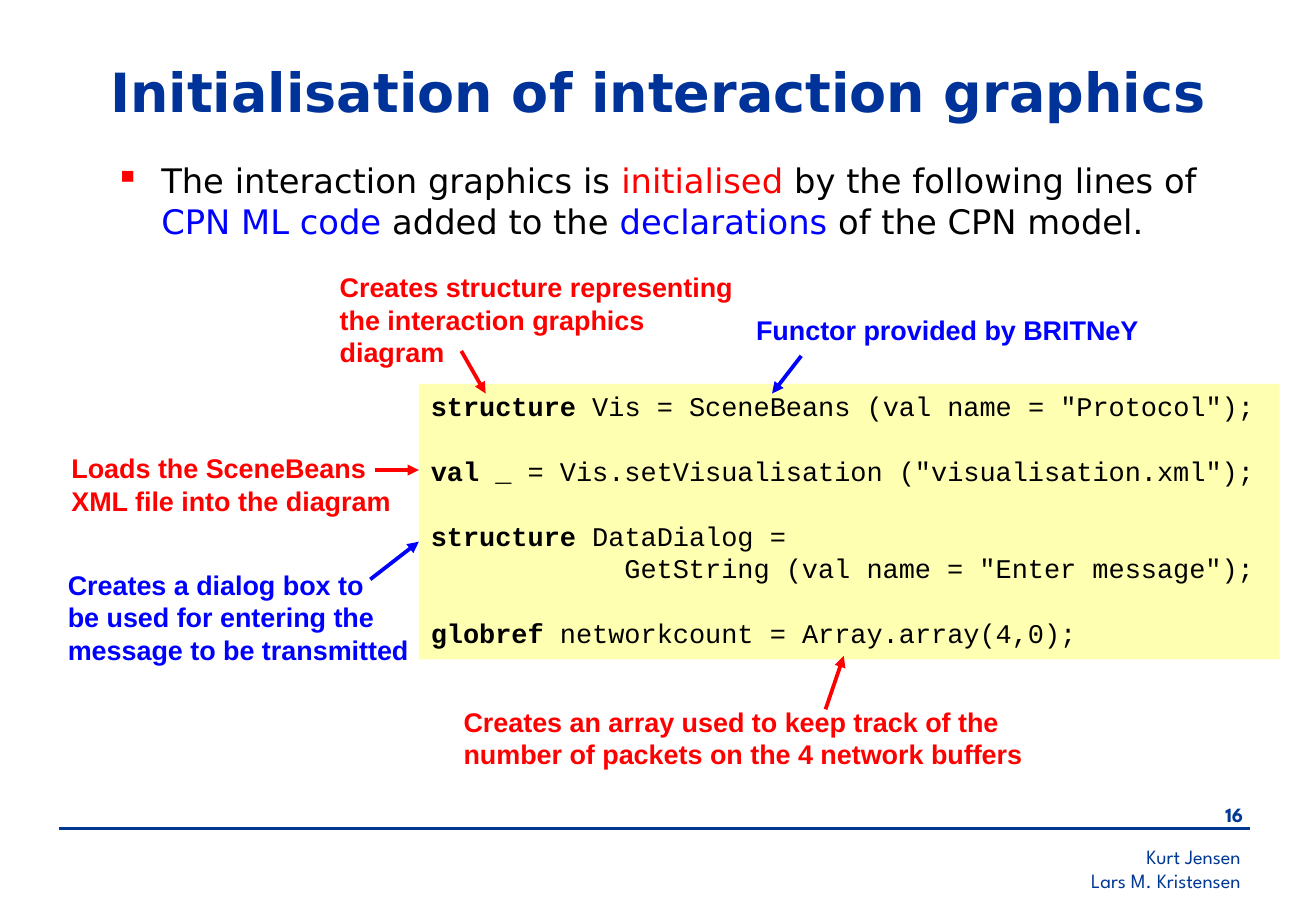
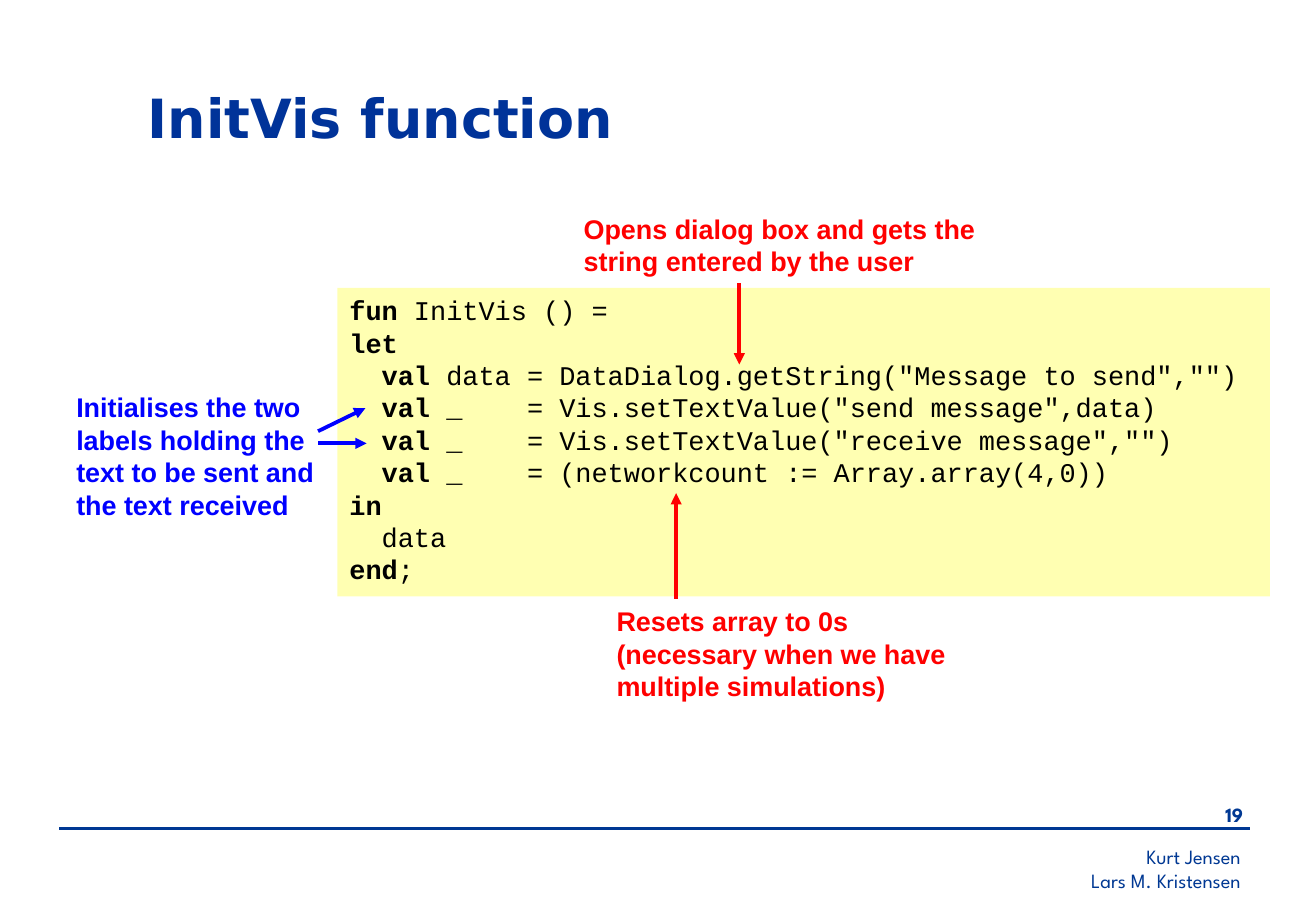
from lxml import etree
from pptx import Presentation
from pptx import util as u
from pptx.dml.color import RGBColor
from pptx.enum import shapes, text
from pptx.oxml import ns

PX = 9144
COLORS = {
    "title": "003399",
    "footer": "003893",
    "black": "000000",
    "red": "FF0000",
    "blue": "0000FF",
    "code": "FFFF66",
}
RGB = {name: RGBColor.from_string(value) for name, value in COLORS.items()}
LINE_HEIGHT = 1.2

SLIDES = [
    {
        "number": "16",
        "title": ("Initialisation of interaction graphics", (81, 40, 957, 69)),
        "bullet": [
            ("The interaction graphics is ", "black"),
            ("initialised", "red"),
            (" by the following lines of ", "black"),
            ("CPN ML code", "blue"),
            (" added to the ", "black"),
            ("declarations", "blue"),
            (" of the CPN model.", "black"),
        ],
        "code_place": (345, 316, 709, 227),
        "code": """*structure* Vis = SceneBeans (val name = "Protocol");

*val* _ = Vis.setVisualisation ("visualisation.xml");

*structure* DataDialog =
            GetString (val name = "Enter message");

*globref* networkcount = Array.array(4,0);""",
        "labels": [
            ("Creates structure representing the interaction graphics diagram", "red", (270, 218, 354, 90)),
            ("Functor provided by BRITNeY", "blue", (613, 253, 374, 37)),
            ("Loads the SceneBeans XML file into the diagram", "red", (49, 367, 303, 64)),
            ("Creates a dialog box to\vbe used for entering the message to be transmitted", "blue", (46, 463, 311, 90)),
            ("Creates an array used to keep track of the number of packets on the 4 network buffers", "red",
             (372, 576, 516, 64)),
        ],
        "arrows": [
            ("red", (380, 289, 400, 324)),
            ("blue", (660, 293, 636, 324)),
            ("red", (309, 387, 345, 387)),
            ("blue", (305, 477, 345, 446)),
            ("red", (680, 584, 695, 540)),
        ],
    },
    {
        "number": "19",
        "title": ("InitVis function", (112, 62, 480, 69)),
        "bullet": [],
        "code_place": (278, 237, 768, 254),
        "code": """*fun* InitVis () =
*let*
  *val* data = DataDialog.getString("Message to send","")
  *val* _    = Vis.setTextValue("send message",data)
  *val* _    = Vis.setTextValue("receive message","")
  *val* _    = (networkcount := Array.array(4,0))
*in*
  data
*end*;""",
        "labels": [
            ("Opens dialog box and gets the string entered by the user", "red", (471, 170, 347, 64)),
            ("Initialises the two\vlabels holding the text to be sent and the text received", "blue", (53, 317, 221, 117)),
            ("Resets array to 0s (necessary when we have multiple simulations)", "red", (498, 493, 319, 90)),
        ],
        "arrows": [
            ("red", (557, 493, 557, 406)),
            ("red", (609, 233, 609, 300)),
            ("blue", (262, 355, 301, 336)),
            ("blue", (262, 365, 302, 365)),
        ],
    },
]


def add_text(page, place, lines, font, size, color, bold=False, align=text.PP_ALIGN.LEFT):
    box = page.shapes.add_textbox(*[value * PX for value in place])
    box.text_frame.word_wrap = True
    for index, line in enumerate(lines):
        para = box.text_frame.paragraphs[0] if index == 0 else box.text_frame.add_paragraph()
        para.text = line
        style_paragraph(para, font, size, color, bold, align)
    return box


def style_paragraph(para, font, size, color, bold=False, align=text.PP_ALIGN.LEFT):
    para.alignment = align
    para.line_spacing = u.Pt(size * LINE_HEIGHT)
    para.font.name = font
    para.font.size = u.Pt(size)
    para.font.bold = bold
    para.font.color.rgb = RGB[color]


deck = Presentation()
deck.slide_width = 1084 * PX
deck.slide_height = 750 * PX

for content in SLIDES:
    page = deck.slides.add_slide(deck.slide_layouts[6])

    add_text(page, (695, 690, 337, 50), ["Kurt Jensen", "Lars M. Kristensen"],
             "League Spartan", 12, "footer", align=text.PP_ALIGN.RIGHT)
    add_text(page, (963, 656, 71, 33), [content["number"]],
             "League Spartan", 12, "footer", bold=True, align=text.PP_ALIGN.RIGHT)
    title, place = content["title"]
    title_box = add_text(page, place, [title], "DejaVu Sans", 32, "title", bold=True)
    title_box.text_frame.vertical_anchor = text.MSO_ANCHOR.MIDDLE

    if content["bullet"]:
        box = page.shapes.add_textbox(*[value * PX for value in (85, 127, 929, 87)])
        box.text_frame.word_wrap = True
        para = box.text_frame.paragraphs[0]
        properties = para._p.get_or_add_pPr()
        properties.set("marL", str(38 * PX))
        properties.set("indent", str(-38 * PX))
        bullet_color = etree.SubElement(properties, ns.qn("a:buClr"))
        etree.SubElement(bullet_color, ns.qn("a:srgbClr"), val=COLORS["red"])
        etree.SubElement(properties, ns.qn("a:buChar"), char="▪")
        style_paragraph(para, "DejaVu Sans", 20, "black")
        for words, color in content["bullet"]:
            span = para.add_run()
            span.text = words
            span.font.color.rgb = RGB[color]

    code_box = page.shapes.add_shape(shapes.MSO_SHAPE.RECTANGLE, *[value * PX for value in content["code_place"]])
    code_box.shadow.inherit = False
    code_box.line.fill.background()
    code_box.fill.solid()
    code_box.fill.fore_color.rgb = RGB["code"]
    fill_color = code_box._element.spPr.find(".//" + ns.qn("a:srgbClr"))
    etree.SubElement(fill_color, ns.qn("a:alpha"), val="50000")
    frame = code_box.text_frame
    frame.word_wrap = True
    frame.vertical_anchor = text.MSO_ANCHOR.TOP
    frame.margin_bottom = 9 * PX
    para = frame.paragraphs[0]
    for block_index, block in enumerate(content["code"].split("\n\n")):
        for line_index, line in enumerate(block.split("\n")):
            if block_index or line_index:
                para = frame.add_paragraph()
            style_paragraph(para, "Courier New", 16, "black")
            if block_index and not line_index:
                para.space_before = u.Pt(16 * LINE_HEIGHT)
            for part_index, part in enumerate(line.split("*")):
                if part:
                    span = para.add_run()
                    span.text = part
                    if part_index % 2:
                        span.font.bold = True

    for words, color, place in content["labels"]:
        add_text(page, place, [words], "Arial", 16, color, bold=True)

    lines = [("footer", (49, 682, 1030, 682))] + content["arrows"]
    for color, ends in lines:
        line = page.shapes.add_connector(shapes.MSO_CONNECTOR.STRAIGHT, *[value * PX for value in ends])
        line.line.color.rgb = RGB[color]
        line.line.width = u.Pt(1.5 if color == "footer" else 2.25)
        if color != "footer":
            etree.SubElement(line.line._get_or_add_ln(), ns.qn("a:tailEnd"), type="triangle")
        etree.SubElement(line._element.spPr, ns.qn("a:effectLst"))

deck.save("out.pptx")
